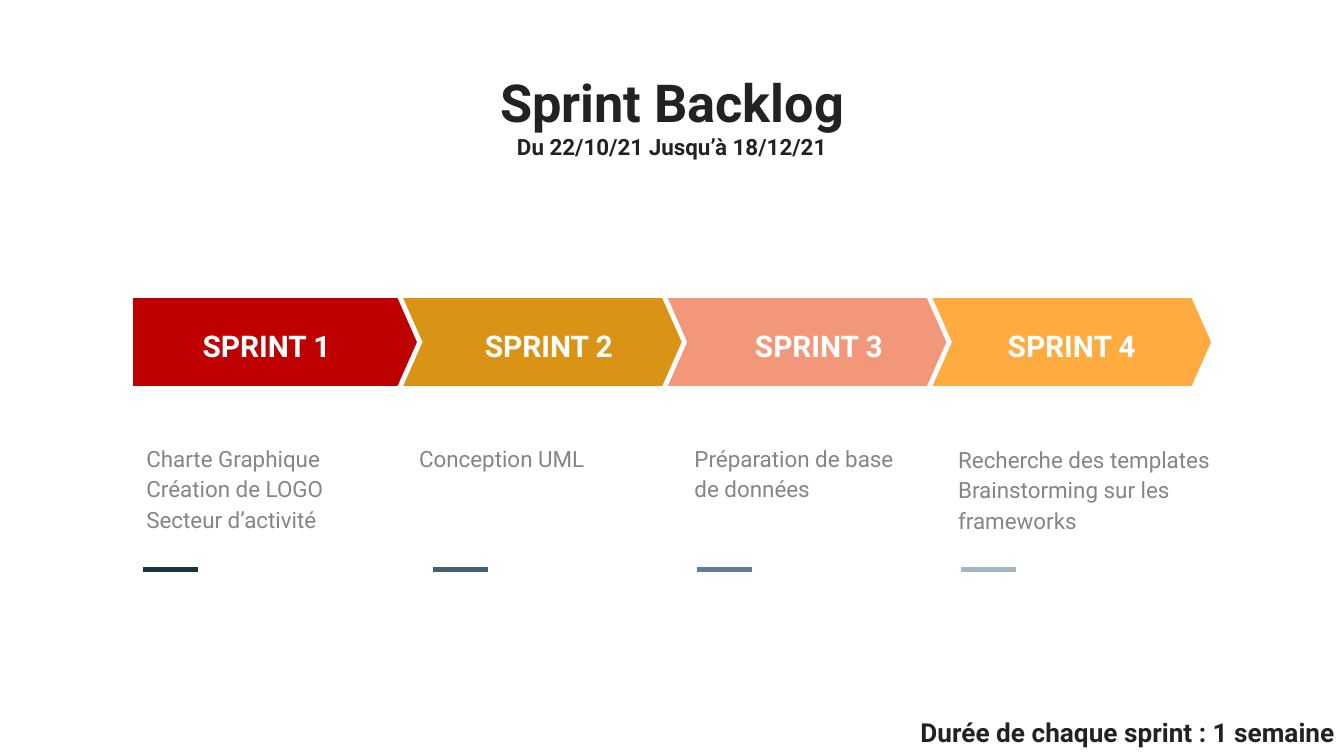
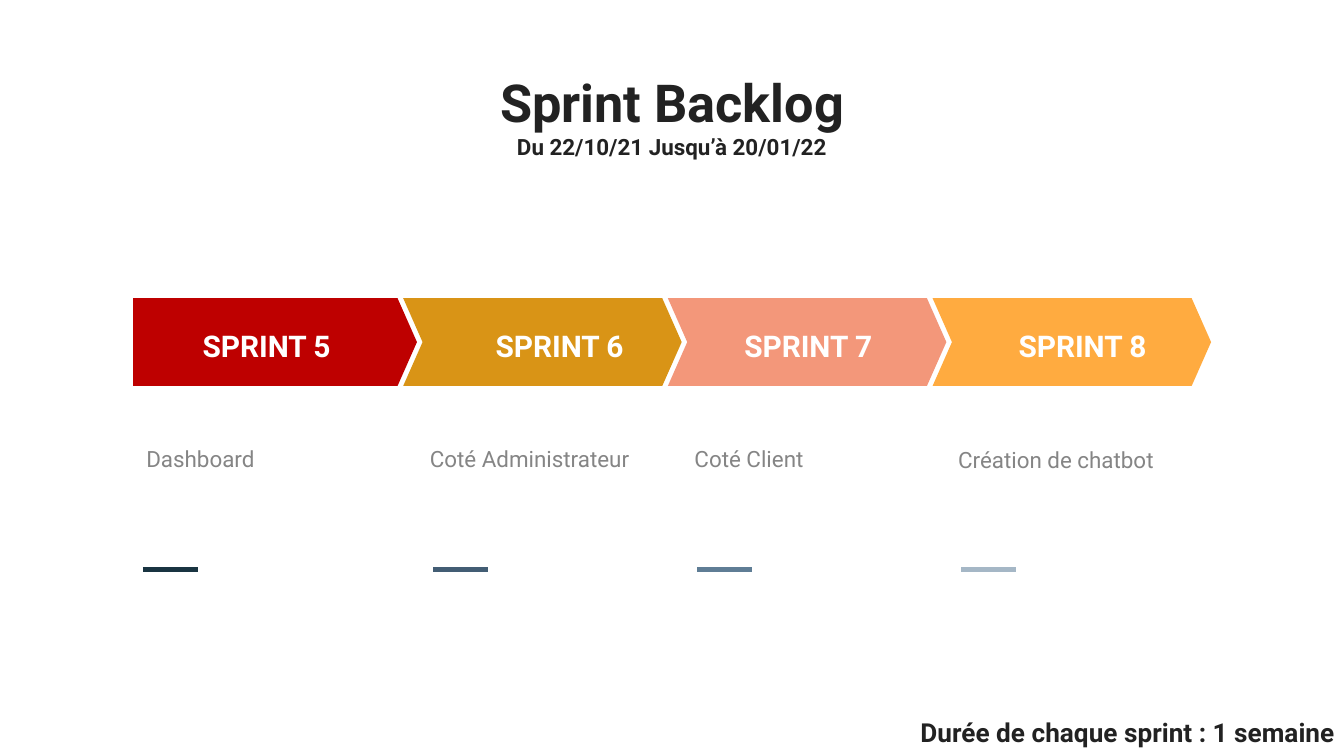
from lxml import etree
from pptx import Presentation
from pptx.dml.color import RGBColor as RGB
from pptx.enum.shapes import MSO_CONNECTOR as CONN
from pptx.enum.text import MSO_ANCHOR as ANCHOR, PP_ALIGN as ALIGN
from pptx.oxml.ns import qn
from pptx.util import Pt

COLORS = {
    "ink": "222222", "grey": "858585", "white": "FFFFFF",
    "red": "BE0000", "gold": "D99416", "salmon": "F3977A", "orange": "FFAB40",
    "navy": "193441", "slate": "435D74", "steel": "5F7D95", "mist": "A5B7C6",
}
ARROWS = ["red", "gold", "salmon", "orange"]
DASHES = [("navy", 76.5), ("slate", 232), ("steel", 373.5), ("mist", 515)]

# Text formats
SUBTITLE = {"size": Pt(12), "bold": True, "color": "ink"}
TITLE = {**SUBTITLE, "size": Pt(28)}
DURATION = {**SUBTITLE, "size": Pt(14)}
SPRINT = {"size": Pt(16), "bold": True, "color": "white"}
TASK = {"size": Pt(12), "bold": False, "color": "grey"}

# Arrow band: left edges of the notched arrows, one step apart
TOP, BOTTOM, MIDDLE = 159.8, 206.8, 183.3
FIRST_LEFT, NOTCH_LEFT, STEP = 71.3, 216, 141.8
BODY, TIP = 138.8, 10.4

# Each sprint: label left, tasks left, top, width and height, tasks
SLIDES = [
    ("Du 22/10/21 Jusqu’à 18/12/21", 1, [
        (101.5, (71.3, 229, 129, 75.6),
         ["Charte Graphique", "Création de LOGO", "Secteur d’activité"]),
        (252.7, (217.4, 229, 134, 54), ["Conception UML"]),
        (397.4, (365, 229, 125.3, 54), ["Préparation de base de données"]),
        (532.8, (506.2, 229.7, 154.8, 64.8),
         ["Recherche des templates", "Brainstorming sur les frameworks"]),
    ]),
    ("Du 22/10/21 Jusqu’à 20/01/22", 5, [
        (101.5, (71.3, 229, 129, 54), ["Dashboard"]),
        (258.5, (223.2, 229, 125.3, 54), ["Coté Administrateur"]),
        (391.7, (365, 229, 125.3, 54), ["Coté Client"]),
        (538.6, (506.2, 229.7, 125.3, 47.5), ["Création de chatbot"]),
    ]),
]


def write(tf, lines, align=ALIGN.LEFT, spacing=1.0):
    """Fill a text frame with one paragraph for each (text, format) pair."""
    tf.word_wrap = True
    tf.vertical_anchor = ANCHOR.TOP
    for side in ("left", "top", "right", "bottom"):
        setattr(tf, f"margin_{side}", Pt(7.2))
    for i, (text, fmt) in enumerate(lines):
        p = tf.paragraphs[0] if i == 0 else tf.add_paragraph()
        p.alignment, p.line_spacing = align, spacing
        p.space_before = p.space_after = Pt(0)
        r = p.add_run()
        r.text = text
        r.font.name = "Roboto"
        for name, value in fmt.items():
            if name == "color":
                r.font.color.rgb = RGB.from_string(COLORS[value])
            else:
                setattr(r.font, name, value)


def add_text(s, box, lines, spacing=1.0):
    """Add a text box at (left, top, width, height) in points."""
    sp = s.shapes.add_textbox(*map(Pt, box))
    write(sp.text_frame, lines, spacing=spacing)


prs = Presentation()
prs.slide_width, prs.slide_height = Pt(720), Pt(405)

for dates, first, sprints in SLIDES:
    s = prs.slides.add_slide(prs.slide_layouts[5])

    # Title and dates
    sp = s.shapes.title
    sp.left, sp.top, sp.width, sp.height = Pt(62.6), Pt(30.6), Pt(594.8), Pt(45)
    write(sp.text_frame, [("Sprint Backlog", TITLE), (dates, SUBTITLE)], ALIGN.CENTER)

    # Arrow band
    band = s.shapes.add_group_shape()
    for i, color in enumerate(ARROWS):
        left = NOTCH_LEFT + (i - 1) * STEP
        right = left + BODY
        start = left if i else FIRST_LEFT
        points = [(start, BOTTOM), (right, BOTTOM), (right + TIP, MIDDLE), (right, TOP)]
        if i:
            points.insert(0, (left + TIP, MIDDLE))
        fb = band.shapes.build_freeform(Pt(start), Pt(TOP))
        fb.add_line_segments([(Pt(x), Pt(y)) for x, y in points], close=True)
        sp = fb.convert_to_shape()
        sp.shadow.inherit = False
        sp.fill.solid()
        sp.fill.fore_color.rgb = RGB.from_string(COLORS[color])
        sp.line.fill.background()

    # Sprint labels and their tasks
    for number, (label_left, task_box, tasks) in enumerate(sprints, first):
        add_text(s, (label_left, 165.6, 108, 35.3), [(f"SPRINT {number}", SPRINT)], 1.14)
        add_text(s, task_box, [(task, TASK) for task in tasks], 1.14)

    # Short dashes under the tasks
    for color, x in DASHES:
        ln = s.shapes.add_connector(CONN.STRAIGHT, Pt(x), Pt(305.2), Pt(x + 29.4), Pt(305.2))
        ln.line.color.rgb = RGB.from_string(COLORS[color])
        ln.line.width = Pt(3)
        etree.SubElement(ln._element.spPr, qn("a:effectLst"))

    # Sprint duration
    add_text(s, (486, 376.6, 267, 31.7), [("Durée de chaque sprint : 1 semaine", DURATION)])

prs.save("out.pptx")
